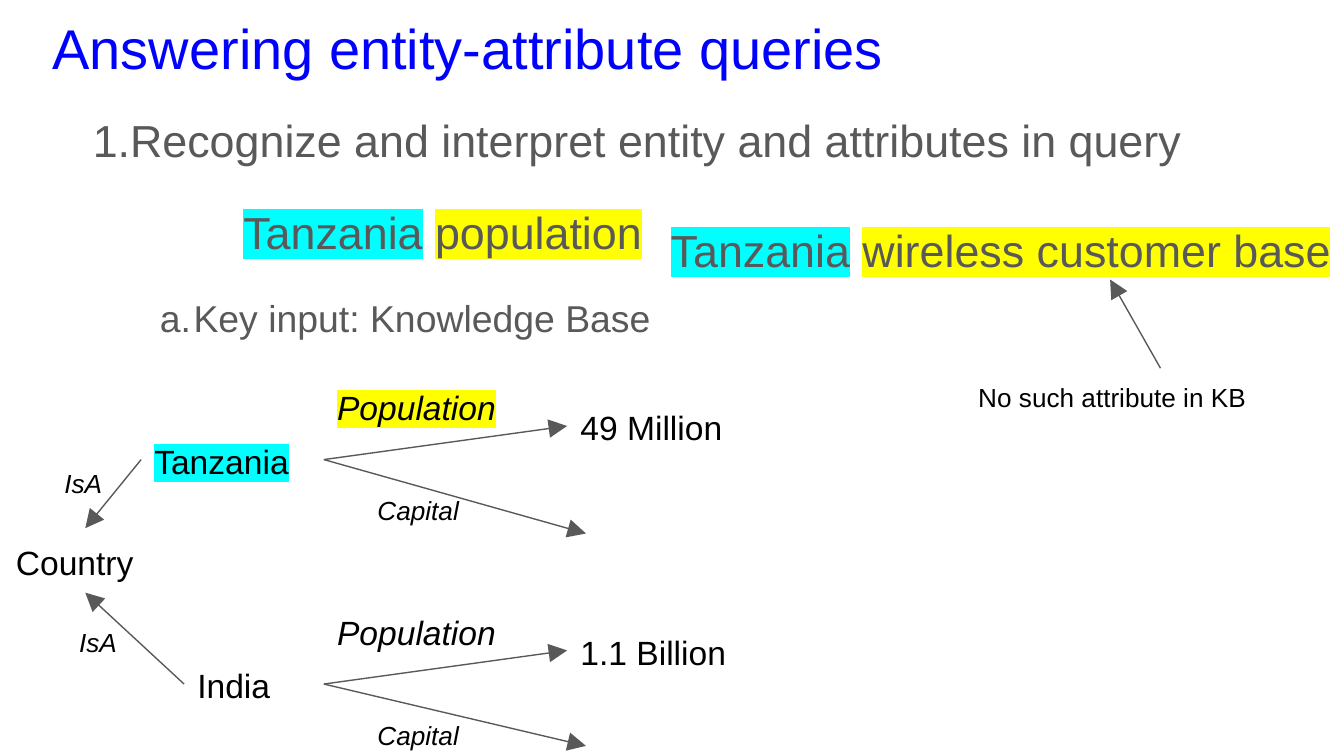
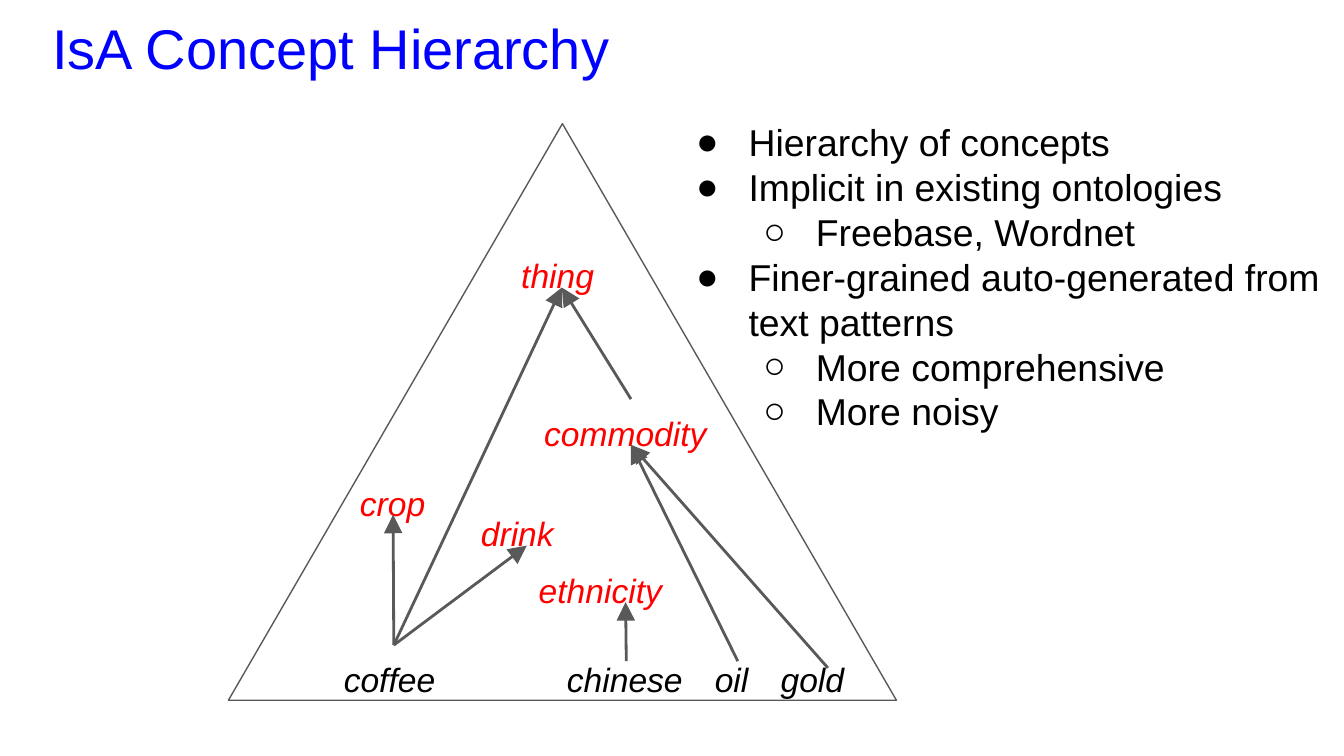
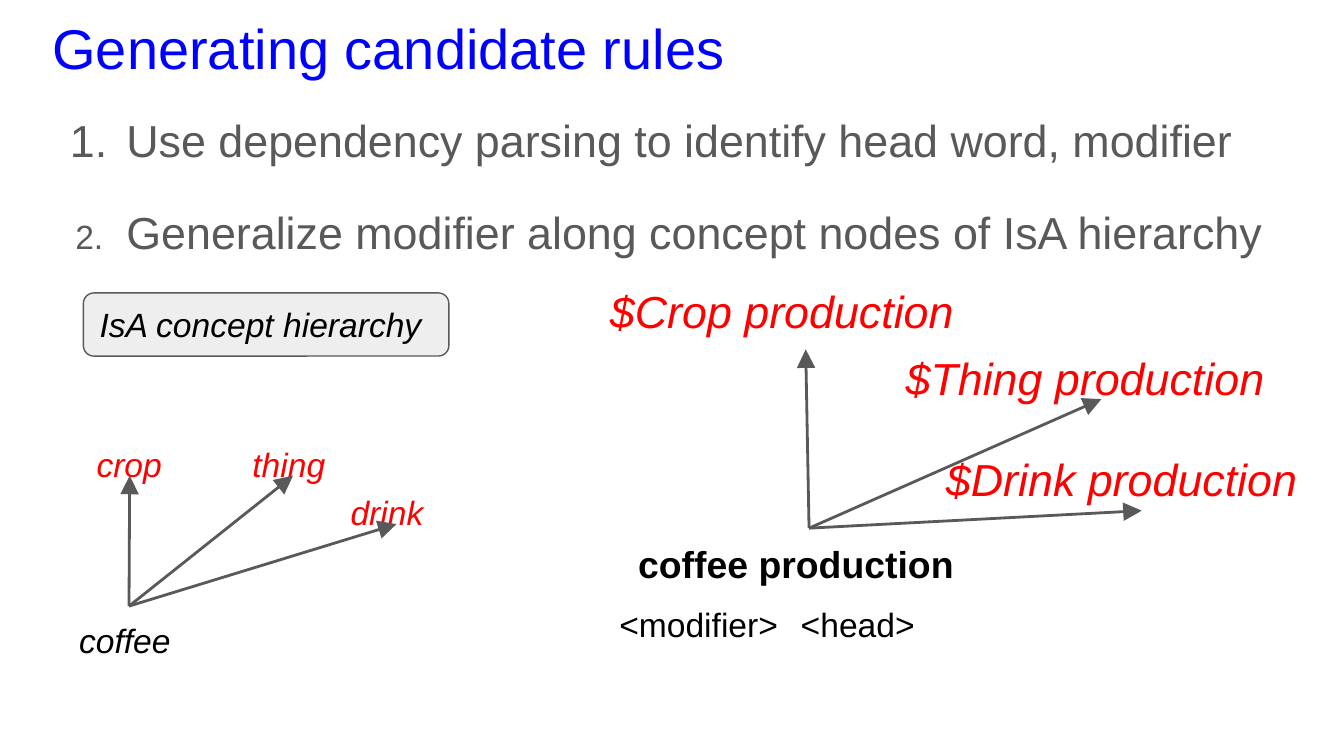
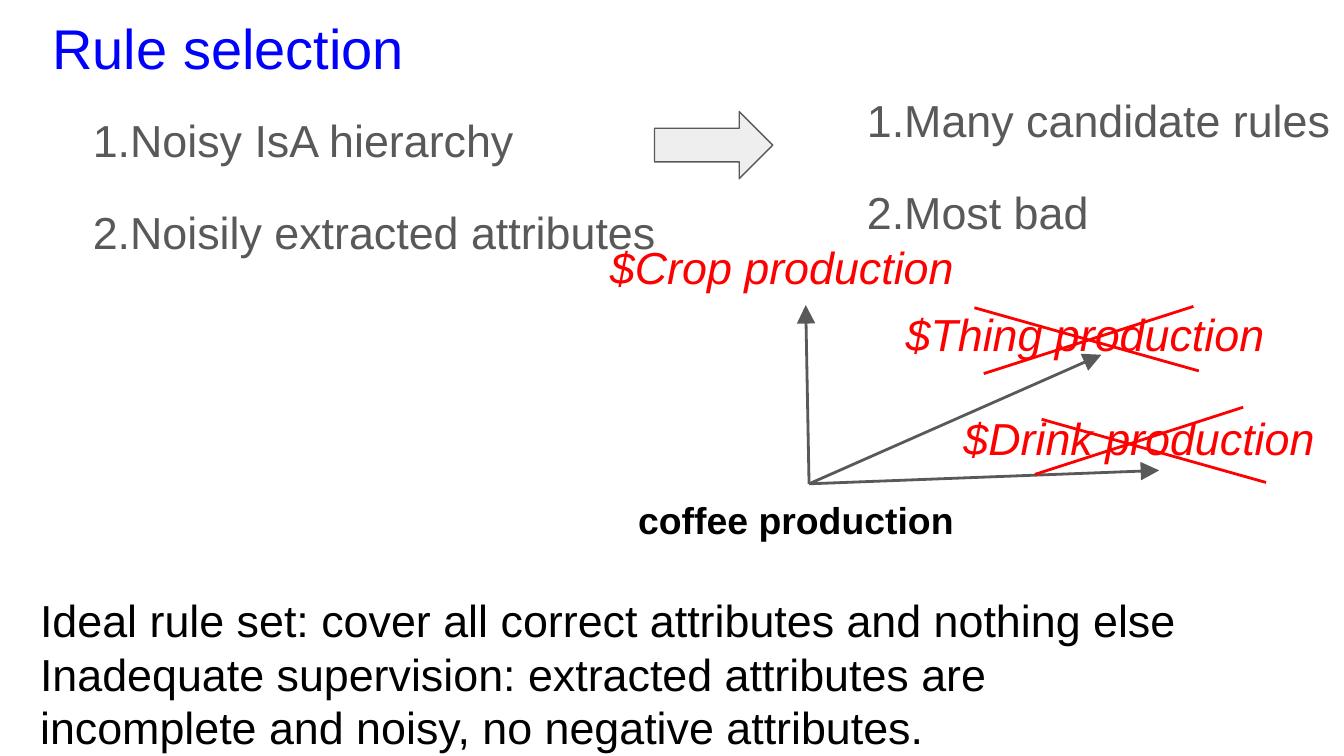
from dataclasses import dataclass
from typing import Optional, Union

from lxml import etree
from pptx import Presentation
from pptx.dml.color import RGBColor
from pptx.enum.shapes import MSO_CONNECTOR, MSO_SHAPE
from pptx.enum.text import MSO_ANCHOR, MSO_AUTO_SIZE, PP_ALIGN
from pptx.oxml.ns import qn
from pptx.util import Inches, Pt

# Shared look
FONT = "Arial"
BLACK = RGBColor(0x00, 0x00, 0x00)
GRAY = RGBColor(0x59, 0x59, 0x59)
PALE = RGBColor(0xEE, 0xEE, 0xEE)
BLUE = RGBColor(0x00, 0x00, 0xFF)
RED = RGBColor(0xFF, 0x00, 0x00)
CYAN = RGBColor(0x00, 0xFF, 0xFF)
YELLOW = RGBColor(0xFF, 0xFF, 0x00)

STRAIGHT = MSO_CONNECTOR.STRAIGHT
TRIANGLE = MSO_SHAPE.ISOSCELES_TRIANGLE
ROUNDED = MSO_SHAPE.ROUNDED_RECTANGLE
RIGHT_ARROW = MSO_SHAPE.RIGHT_ARROW
ANCHOR_TOP, ANCHOR_MIDDLE = MSO_ANCHOR.TOP, MSO_ANCHOR.MIDDLE
NO_AUTOFIT = MSO_AUTO_SIZE.NONE
ALIGN_LEFT = PP_ALIGN.LEFT

TOP, LEFT, BOTTOM, RIGHT = range(4)
ONE_BODY, TWO_BODIES = 1, 3
THIN, THICK = 0.75, 1.5


@dataclass
class Area:
    left: float
    top: float
    width: float
    height: float

    def lengths(self) -> list:
        return [Inches(v) for v in (self.left, self.top, self.width, self.height)]


TITLE_AREA = Area(0.29, 0, 9.32, 0.63)


@dataclass
class Label:
    text: str
    area: Area
    size: float = 18
    color: RGBColor = BLACK
    italic: bool = False
    bold: bool = False
    highlight: Optional[RGBColor] = None


@dataclass
class Side:
    """Middle of one side of the label with this text."""
    label: str
    side: int


End = Union[Side, tuple]


@dataclass
class Line:
    start: End
    end: End
    color: RGBColor = GRAY
    width: float = THICK
    arrow: bool = True


@dataclass
class Item:
    spans: list
    size: float = 24
    color: RGBColor = GRAY
    level: int = 0
    margin: float = 0.5
    indent: float = -0.25
    number: str = ""
    bullet: str = ""
    bullet_percent: int = 100


def numbered(text: str, **options) -> Item:
    return Item([(text, None)], number="arabicPeriod", **options)


def bulleted(text: str, level: int = 0) -> Item:
    return Item([(text, None)], size=20, color=BLACK, level=level, margin=0.5 + level / 2,
                indent=-0.39, bullet="○" if level else "●")


# Text
def add_text(para, text: str, *, size: float, color: RGBColor, bold: bool = False,
             italic: bool = False, highlight: Optional[RGBColor] = None) -> None:
    span = para.add_run()
    span.text = text
    font = span.font
    font.name, font.size, font.bold, font.italic = FONT, Pt(size), bold, italic
    font.color.rgb = color
    if highlight is not None:
        mark = etree.Element(qn("a:highlight"))
        etree.SubElement(mark, qn("a:srgbClr"), val=str(highlight))
        font.fill._xPr.find(qn("a:solidFill")).addnext(mark)


def prepare_frame(shape, anchor=ANCHOR_TOP):
    frame = shape.text_frame
    frame.word_wrap = True
    frame.auto_size = NO_AUTOFIT
    frame.vertical_anchor = anchor
    frame.margin_left = frame.margin_right = Inches(0.1)
    frame.margin_top = frame.margin_bottom = Inches(0.1)
    return frame


def write_label(shape, label: Label, anchor=ANCHOR_TOP) -> None:
    frame = prepare_frame(shape, anchor)
    for index, text in enumerate(label.text.split("\n")):
        para = frame.add_paragraph() if index else frame.paragraphs[0]
        para.alignment = ALIGN_LEFT
        add_text(para, text, size=label.size, color=label.color, bold=label.bold,
                 italic=label.italic, highlight=label.highlight)


def place(shape, area: Area) -> None:
    shape.left, shape.top, shape.width, shape.height = area.lengths()


def set_bullet(para, item: Item) -> None:
    properties = para._p.get_or_add_pPr()
    properties.set("marL", str(Inches(item.margin)))
    properties.set("indent", str(Inches(item.indent)))
    if not (item.number or item.bullet):
        etree.SubElement(properties, qn("a:buNone"))
        return
    color = etree.SubElement(properties, qn("a:buClr"))
    etree.SubElement(color, qn("a:srgbClr"), val=str(item.color))
    etree.SubElement(properties, qn("a:buSzPct"), val=str(item.bullet_percent * 1000))
    etree.SubElement(properties, qn("a:buFont"), typeface=FONT)
    if item.number:
        etree.SubElement(properties, qn("a:buAutoNum"), type=item.number)
    else:
        etree.SubElement(properties, qn("a:buChar"), char=item.bullet)


def fill_list(body, area: Area, items: list, line_spacing: float = 1.15,
              space_after: float = 16) -> None:
    place(body, area)
    frame = prepare_frame(body)
    for index, item in enumerate(items):
        para = frame.add_paragraph() if index else frame.paragraphs[0]
        para.level = item.level
        set_bullet(para, item)
        para.alignment = ALIGN_LEFT
        para.line_spacing = line_spacing
        para.space_before, para.space_after = Pt(0), Pt(space_after)
        for text, highlight in item.spans:
            add_text(para, text, size=item.size, color=item.color, highlight=highlight)


# Shapes and lines
def add_page(deck, title: str, layout: int):
    page = deck.slides.add_slide(deck.slide_layouts[layout])
    place(page.shapes.title, TITLE_AREA)
    write_label(page.shapes.title, Label(title, TITLE_AREA, size=30, color=BLUE))
    return page


def add_outlined(page, kind, area: Area, fill: Optional[RGBColor] = None):
    shape = page.shapes.add_shape(kind, *area.lengths())
    shape.shadow.inherit = False
    if fill is None:
        shape.fill.background()
    else:
        shape.fill.solid()
        shape.fill.fore_color.rgb = fill
    shape.line.color.rgb = GRAY
    shape.line.width = Pt(THIN)
    return shape


def draw_line(page, line: Line, boxes: dict) -> None:
    points = [(0, 0) if isinstance(end, Side) else end for end in (line.start, line.end)]
    connector = page.shapes.add_connector(
        STRAIGHT, *[Inches(value) for point in points for value in point])
    if isinstance(line.start, Side):
        connector.begin_connect(boxes[line.start.label], line.start.side)
    if isinstance(line.end, Side):
        connector.end_connect(boxes[line.end.label], line.end.side)
    connector.line.color.rgb = line.color
    connector.line.width = Pt(line.width)
    if line.arrow:
        etree.SubElement(connector.line._get_or_add_ln(), qn("a:tailEnd"),
                         type="triangle", w="lg", len="lg")
    etree.SubElement(connector._element.spPr, qn("a:effectLst"))


def draw_graph(page, labels: list, lines: list) -> None:
    boxes = {}
    for label in labels:
        boxes[label.text] = page.shapes.add_textbox(*label.area.lengths())
        write_label(boxes[label.text], label)
    for line in lines:
        draw_line(page, line, boxes)


def concept(text: str, left: float, top: float, width: float, color: RGBColor = RED) -> Label:
    return Label(text, Area(left, top, width, 0.34), color=color, italic=True)


def draw_productions(page, shift: float, drink_left: float, drink_top: float) -> None:
    base = "coffee production"
    rules = [
        ("$Crop production", Area(4.44, 2.01 + shift, 3.11, 0.59)),
        ("$Thing production", Area(6.64, 2.51 + shift, 3.11, 0.46)),
        ("$Drink production", Area(drink_left, drink_top, 3.11, 0.54)),
    ]
    labels = [Label(base, Area(4.65, 3.93 + shift, 2.74, 0.34), size=20, bold=True)]
    labels += [Label(text, area, size=24, color=RED, italic=True) for text, area in rules]
    draw_graph(page, labels, [Line(Side(base, TOP), Side(text, BOTTOM)) for text, _ in rules])


# Slides
def build_queries(deck) -> None:
    page = add_page(deck, "Answering entity-attribute queries", TWO_BODIES)
    fill_list(page.placeholders[1], Area(0.34, 0.68, 9.32, 2.06), [
        numbered("Recognize and interpret entity and attributes in query"),
        Item([("Tanzania", CYAN), (" ", None), ("population", YELLOW)], margin=1.37, indent=0),
        Item([("Key input: Knowledge Base", None)], size=20, level=1, margin=1,
             number="alphaLcPeriod"),
    ])
    fill_list(page.placeholders[2], Area(4.89, 1.5, 5.73, 1.24), [
        Item([("Tanzania", CYAN), (" ", None), ("wireless customer base", YELLOW)],
             margin=0, indent=0),
    ])

    missing = "No such attribute in KB"
    labels = [
        Label("Country", Area(0.02, 3.93, 1.23, 0.48)),
        Label("IsA", Area(0.38, 3.38, 0.99, 0.36), size=14, italic=True),
        Label("IsA", Area(0.49, 4.56, 0.97, 0.39), size=14, italic=True),
        Label(missing, Area(7.18, 2.74, 2.91, 0.34), size=14),
    ]
    lines = [
        Line(Side("Tanzania", LEFT), Side("Country", TOP), width=THIN),
        Line(Side("India", LEFT), Side("Country", BOTTOM), width=THIN),
        Line(Side(missing, TOP), (8.26, 2.08), width=THIN),
    ]
    countries = [
        ("Tanzania", "49 Million", 1.05, 3.18, 3.97, CYAN, YELLOW),
        ("India", "1.1 Billion", 1.37, 4.85, 5.55, None, None),
    ]
    for name, count, left, top, capital_end, name_mark, count_mark in countries:
        labels += [
            Label(name, Area(left, top, 2.41 - left, 0.48), highlight=name_mark),
            Label(count, Area(4.22, top - 0.25, 2.25, 0.48)),
            Label("Population", Area(2.41, top - 0.4, 1.78, 0.39), italic=True,
                  highlight=count_mark),
            Label("Capital", Area(2.71, top + 0.4, 1.09, 0.39), size=14, italic=True),
        ]
        lines += [
            Line(Side(name, RIGHT), Side(count, LEFT), width=THIN),
            Line(Side(name, RIGHT), (4.36, capital_end), width=THIN),
        ]
    draw_graph(page, labels, lines)


def build_hierarchy(deck) -> None:
    page = add_page(deck, "IsA Concept Hierarchy", ONE_BODY)
    add_outlined(page, TRIANGLE, Area(1.7, 0.92, 4.97, 4.29))
    labels = [
        concept("crop", 2.58, 3.49, 0.69),
        concept("thing", 3.78, 1.8, 0.8),
        concept("drink", 3.48, 3.72, 0.88),
        concept("commodity", 3.95, 2.97, 1.49),
        concept("ethnicity", 3.91, 4.14, 1.49),
    ]
    words = [("coffee", 2.46, 0.94), ("gold", 5.71, 0.94), ("oil", 5.22, 0.94),
             ("chinese", 4.12, 1.07)]
    labels += [concept(text, left, 4.8, width, BLACK) for text, left, width in words]
    lines = [Line(Side("coffee", TOP), Side(name, BOTTOM)) for name in ("crop", "drink", "thing")]
    lines += [
        Line(Side("commodity", TOP), Side("thing", BOTTOM)),
        Line(Side("oil", RIGHT), Side("commodity", BOTTOM)),
        Line((5.49, 4.92), Side("commodity", BOTTOM)),
        Line((4.66, 4.92), Side("ethnicity", BOTTOM)),
    ]
    draw_graph(page, labels, lines)
    fill_list(page.placeholders[1], Area(4.97, 0.79, 4.97, 0.7), [
        bulleted("Hierarchy of concepts"),
        bulleted("Implicit in existing ontologies"),
        bulleted("Freebase, Wordnet", level=1),
        bulleted("Finer-grained auto-generated from text patterns"),
        bulleted("More comprehensive", level=1),
        bulleted("More noisy", level=1),
    ], line_spacing=1.0, space_after=0)


def build_candidates(deck) -> None:
    page = add_page(deck, "Generating candidate rules", ONE_BODY)
    fill_list(page.placeholders[1], Area(0.34, 0.68, 9.32, 1.11), [
        numbered("Use dependency parsing to identify head word, modifier", indent=-0.42),
        numbered("Generalize modifier along concept nodes of IsA hierarchy", indent=-0.38,
                 bullet_percent=75),
    ])
    draw_productions(page, shift=0, drink_left=6.94, drink_top=3.26)
    labels = [
        Label("<head>", Area(5.86, 4.39, 1.16, 0.34)),
        Label("<modifier>", Area(4.51, 4.39, 1.5, 0.34)),
        concept("coffee", 0.49, 4.51, 0.94, BLACK),
        concept("crop", 0.62, 3.2, 0.69),
        concept("thing", 1.78, 3.2, 0.8),
        concept("drink", 2.51, 3.56, 0.88),
    ]
    draw_graph(page, labels, [Line(Side("coffee", TOP), Side(name, BOTTOM))
                              for name in ("crop", "thing", "drink")])
    caption = Label("IsA concept hierarchy", Area(0.62, 2.18, 2.72, 0.47), italic=True)
    write_label(add_outlined(page, ROUNDED, caption.area, PALE), caption, ANCHOR_MIDDLE)


def build_selection(deck) -> None:
    page = add_page(deck, "Rule selection", TWO_BODIES)
    fill_list(page.placeholders[1], Area(0.34, 0.68, 4.81, 1.11), [
        numbered("Noisy IsA hierarchy"),
        numbered("Noisily extracted attributes"),
    ])
    fill_list(page.placeholders[2], Area(6.1, 0.53, 4.81, 1.11), [
        numbered("Many candidate rules"),
        numbered("Most bad"),
    ])
    draw_productions(page, shift=-0.33, drink_left=7.07, drink_top=2.96)

    # Crossed-out rules
    strokes = [((7.25, 2.29), (8.92, 2.76)), ((7.32, 2.78), (8.88, 2.28)),
               ((7.75, 3.12), (9.42, 3.59)), ((7.7, 3.53), (9.25, 3.03))]
    draw_graph(page, [], [Line(start, end, RED, arrow=False) for start, end in strokes])
    add_outlined(page, RIGHT_ARROW, Area(4.87, 0.83, 0.88, 0.5), PALE)

    summary = ("Ideal rule set: cover all correct attributes and nothing else\n"
               "Inadequate supervision: extracted attributes are incomplete and noisy, "
               "no negative attributes.")
    draw_graph(page, [Label(summary, Area(0.2, 4.31, 8.94, 0.81), size=24)], [])


def main() -> None:
    deck = Presentation()
    # Widescreen, 16 to 9
    deck.slide_width = Inches(10)
    deck.slide_height = Inches(10) * 9 // 16
    for build in (build_queries, build_hierarchy, build_candidates, build_selection):
        build(deck)
    deck.save("out.pptx")


if __name__ == "__main__":
    main()
